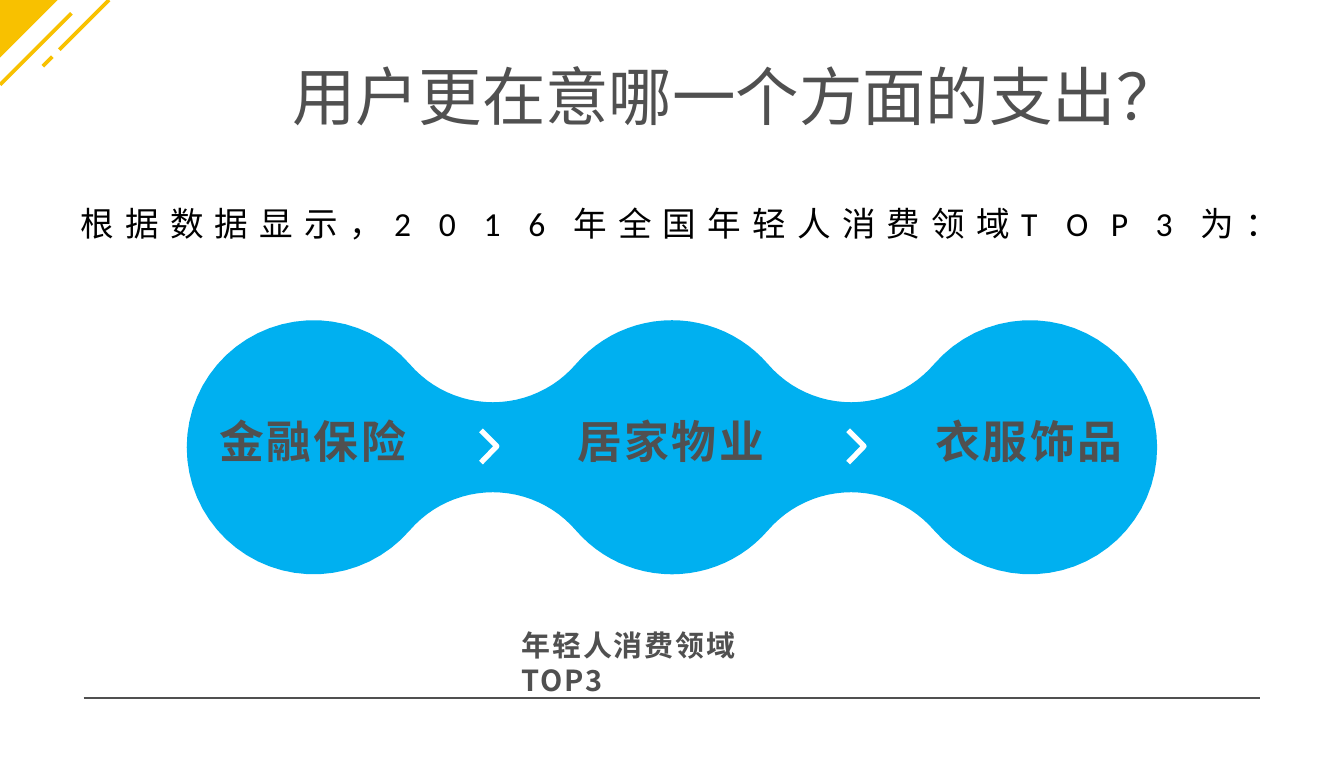
from dataclasses import dataclass
from math import atan2, cos, pi, sin

from lxml.etree import SubElement
from pptx import Presentation
from pptx.dml.color import RGBColor
from pptx.enum.text import MSO_ANCHOR as Anchor, MSO_AUTO_SIZE as AutoSize, PP_ALIGN as Align
from pptx.oxml.ns import qn
from pptx.util import Cm, Pt


@dataclass(frozen=True)
class Theme:
    grey: RGBColor = RGBColor(0x50, 0x50, 0x50)
    black: RGBColor = RGBColor(0, 0, 0)
    white: RGBColor = RGBColor(0xFF, 0xFF, 0xFF)
    blue: RGBColor = RGBColor(0x00, 0xB0, 0xF0)
    gold: RGBColor = RGBColor(0xF8, 0xC1, 0x00)
    heading_font: str = "Noto Sans CJK TC"
    body_font: str = "Calibri"
    title: float = 34
    label: float = 24
    body: float = 18
    caption: float = 15.5


theme = Theme()


def write(sp, text, size, color, font=theme.heading_font, bold=False, spacing=0, indent=None):
    tf = sp.text_frame
    tf.word_wrap = True
    tf.auto_size = AutoSize.NONE
    tf.vertical_anchor = Anchor.TOP
    tf.text = text
    p = tf.paragraphs[0]
    p.alignment = Align.LEFT
    if indent is not None:
        tf.margin_left = tf.margin_right = tf.margin_top = tf.margin_bottom = 0
        pPr = p._p.get_or_add_pPr()
        pPr.set("marL", str(Cm(indent)))
        pPr.set("indent", "0")
    r = p.runs[0]
    r.font.size = Pt(size)
    r.font.bold = bold
    r.font.name = font
    r.font.color.rgb = color
    rPr = r.font._element
    SubElement(rPr, qn("a:ea")).set("typeface", font)
    if spacing:
        rPr.set("spc", str(round(spacing * 100)))
    return tf


def outline(points, fill=None, line=None, width=0):
    points = [(Cm(x), Cm(y)) for x, y in points]
    builder = s.shapes.build_freeform(*points[0], scale=1.0)
    builder.add_line_segments(points[1:], close=fill is not None)
    sp = builder.convert_to_shape()
    sp.shadow.inherit = False
    if fill is None:
        sp.fill.background()
    else:
        sp.fill.solid()
        sp.fill.fore_color.rgb = fill
    if line is None:
        sp.line.fill.background()
    else:
        sp.line.color.rgb = line
        sp.line.width = Pt(width)


prs = Presentation()
prs.slide_width, prs.slide_height = Cm(25.4), Cm(14.3)
s = prs.slides.add_slide(prs.slide_layouts[5])

title = s.shapes.title
title.left, title.top, title.width, title.height = Cm(2.16), Cm(1.07), Cm(21.06), Cm(1.45)
write(title, "用户更在意哪一个方面的支出？", theme.title, theme.grey, indent=3.36)

centers, mid_y = [5.93, 12.7, 19.47], 8.45
radius, neck = 2.4, 0.85
half_gap = (centers[1] - centers[0]) / 2
fillet = (half_gap**2 + neck**2 - radius**2) / (2 * (radius - neck))
tangent = atan2(neck + fillet, half_gap)
steps = 24
top_edge = []
for i, cx in enumerate(centers):
    start = pi if i == 0 else pi - tangent
    end = 0 if i == len(centers) - 1 else tangent
    arcs = [(cx, mid_y, radius, start, end)]
    if end:
        arcs.append((cx + half_gap, mid_y - neck - fillet, fillet, pi + tangent, 2 * pi - tangent))
    for x, y, r, a, b in arcs:
        for k in range(steps + 1):
            angle = a + (b - a) * k / steps
            top_edge.append((x + r * cos(angle), y - r * sin(angle)))
bottom_edge = [(x, 2 * mid_y - y) for x, y in reversed(top_edge)]
outline(top_edge + bottom_edge[1:-1], fill=theme.blue)

for x1, y1, x2, y2, color, width in [
    (0.99, 1.07, 0.81, 1.25, theme.gold, 2),
    (2.06, 0, 1.12, 0.94, theme.gold, 2),
    (0, 1.6, 1.35, 0.25, theme.gold, 2),
    (1.58, 13.19, 23.82, 13.19, theme.grey, 1),
]:
    line = s.shapes.add_connector(1, Cm(x1), Cm(y1), Cm(x2), Cm(y2))
    line.line.color.rgb = color
    line.line.width = Pt(width)
    SubElement(line._element.spPr, qn("a:effectLst"))
outline([(1.09, 0), (0, 0), (0, 1.09)], fill=theme.gold)

for cx, label in zip(centers, ["金融保险", "居家物业", "衣服饰品"]):
    sp = s.shapes.add_textbox(Cm(cx - 1.82), Cm(7.82), Cm(3.66), Cm(1.19))
    write(sp, label, theme.label, theme.grey, bold=True, spacing=1.4, indent=0.03)

for x in (9.09, 16.03):
    outline([(x, 8.13), (x + 0.3, 8.43), (x, 8.74)], line=theme.white, width=2.83)

caption = s.shapes.add_textbox(Cm(9.82), Cm(11.86), Cm(5.77), Cm(0.79))
tf = write(caption, "年轻人消费领域TOP3", theme.caption, theme.grey, bold=True, spacing=1.1, indent=0.03)
tf.margin_right = Cm(0.8)

sentence = "根据数据显示，2016年全国年轻人消费领域TOP3为："
cell = 22.86 / len(sentence)
group = s.shapes.add_group_shape()
for i, char in enumerate(sentence):
    sp = group.shapes.add_textbox(Cm(1.27 + i * cell), Cm(3.71), Cm(cell), Cm(1.02))
    tf = write(sp, char, theme.body, theme.black, font=theme.body_font)
    tf.vertical_anchor = Anchor.MIDDLE

prs.save("out.pptx")
